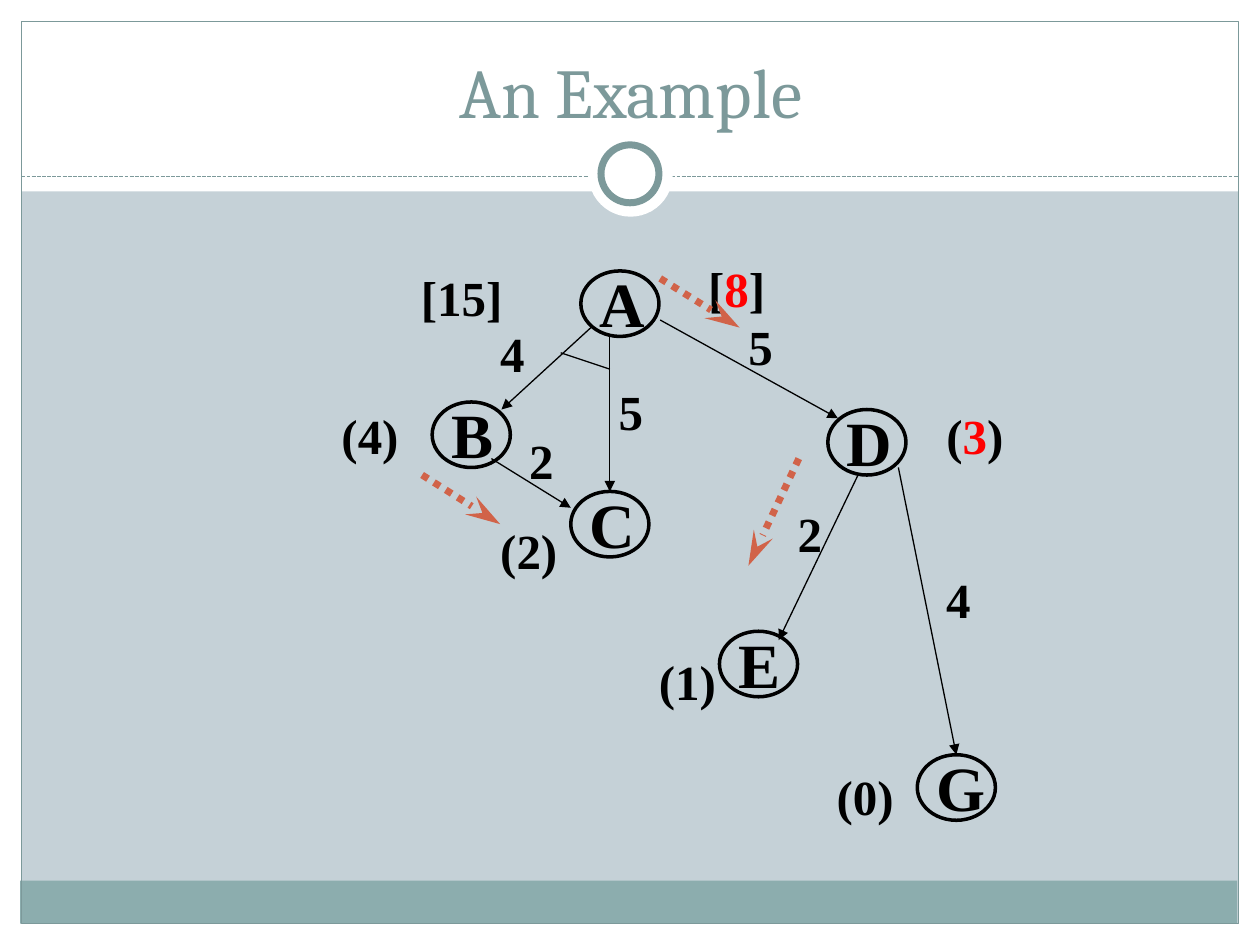
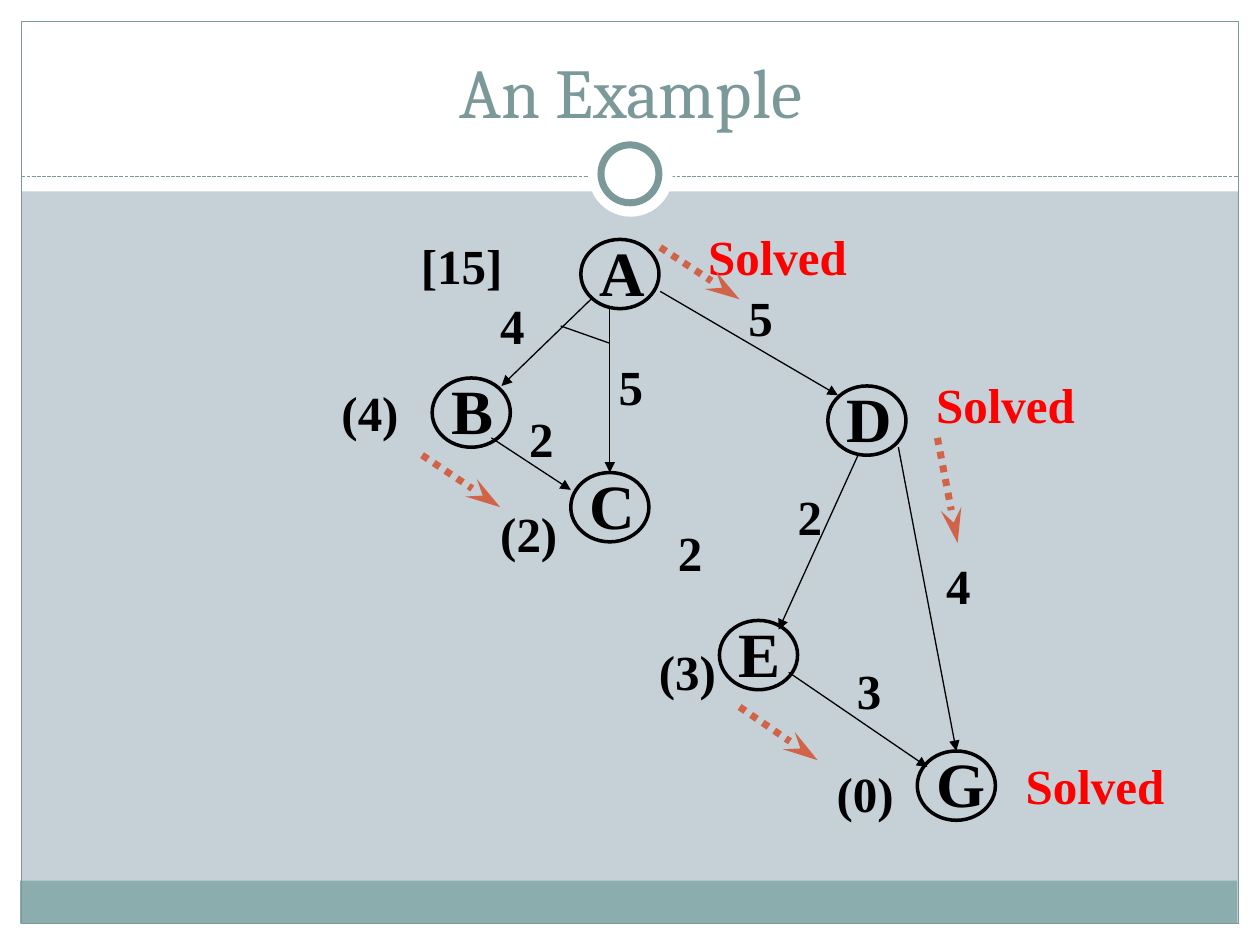
from dataclasses import dataclass

from lxml import etree
from pptx import Presentation
from pptx.dml.color import RGBColor
from pptx.enum.dml import MSO_LINE
from pptx.enum.shapes import MSO_CONNECTOR, MSO_SHAPE
from pptx.enum.text import MSO_ANCHOR, MSO_AUTO_SIZE, PP_ALIGN
from pptx.oxml.ns import qn
from pptx.util import Inches, Pt

RECT, OVAL = MSO_SHAPE.RECTANGLE, MSO_SHAPE.OVAL
STRAIGHT = MSO_CONNECTOR.STRAIGHT
DASH, DOT = MSO_LINE.SQUARE_DOT, MSO_LINE.ROUND_DOT
TOP_SIDE = 0


@dataclass(frozen=True)
class Theme:
    paper: str = "FFFFFF"
    backdrop: str = "C5D1D7"
    band: str = "8CADAE"
    trim: str = "7C999A"
    ink: str = "000000"
    alert: str = "FF0000"
    marker: str = "D16349"
    title_font: str = "Cambria"
    graph_font: str = "Times New Roman"
    title_size: int = 40
    node_size: int = 36
    label_size: int = 28
    thin: float = 0.75
    outline: float = 2
    thick: float = 4


# Graph positions are laid out for a graph from BASE_TOP to BOTTOM and
# stretched vertically when a slide starts its graph higher.
BASE_TOP, BOTTOM = 2.15, 6.51
NODE_W, NODE_H, LETTER_H, LABEL_H = 0.62, 0.52, 0.48, 0.39
LABEL_WIDTHS = {1: 0.34, 3: 0.62, 4: 0.82, 6: 1.28}  # by number of characters

# letter: left, top, letter box width
NODES = {
    "A": (4.61, 2.15, 0.5),
    "B": (3.43, 3.19, 0.47),
    "C": (4.53, 3.9, 0.5),
    "D": (6.57, 3.25, 0.5),
    "E": (5.71, 5.01, 0.47),
    "G": (7.28, 5.99, 0.53),
}
# start, end, node whose top the arrow meets
EDGES = [
    ((4.69, 2.6), (3.98, 3.25), None),
    ((4.84, 2.67), (4.84, 3.9), "C"),
    ((3.9, 3.64), (4.53, 4.03), None),
    ((5.24, 2.54), (6.65, 3.32), None),
    ((6.81, 3.77), (6.18, 5.08), None),
    ((7.13, 3.71), (7.6, 5.99), "G"),
]
AND_ARC = (4.45, 2.8), (4.84, 2.93)
# text, left, top, part in the alert colour
LABELS = [
    ("[15]", 3.27, 2.15, ""),
    ("(4)", 2.64, 3.25, ""),
    ("(2)", 3.9, 4.16, ""),
    ("(0)", 6.57, 6.11, ""),
    ("4", 3.9, 2.6, ""),
    ("5", 5.87, 2.54, ""),
    ("5", 4.84, 3.06, ""),
    ("2", 4.13, 3.45, ""),
    ("2", 6.26, 4.03, ""),
    ("4", 7.44, 4.55, ""),
]
MARKERS = [
    ((5.24, 2.21), (5.87, 2.6)),
    ((3.35, 3.77), (3.97, 4.16)),
]
STEPS = [
    {
        "top": 2.15,
        "edges": [],
        "labels": [
            ("[8]", 5.55, 2.08, "8"),
            ("(3)", 7.44, 3.25, "3"),
            ("(1)", 5.16, 5.2, ""),
        ],
        "markers": [((6.34, 3.64), (5.94, 4.49))],
    },
    {
        "top": 1.9,
        "edges": [((6.26, 5.4), (7.36, 6.11), None)],
        "labels": [
            ("Solved", 5.55, 2.08, "Solved"),
            ("Solved", 7.36, 3.19, "Solved"),
            ("Solved", 8.07, 6.05, "Solved"),
            ("(3)", 5.16, 5.2, ""),
            ("2", 5.31, 4.3, ""),
            ("3", 6.73, 5.34, ""),
        ],
        "markers": [
            ((7.44, 3.64), (7.6, 4.43)),
            ((5.87, 5.66), (6.49, 6.06)),
        ],
    },
]


def rgb(color):
    return RGBColor.from_string(color)


class Deck:
    def __init__(self, prs, theme):
        self.prs, self.theme = prs, theme
        self.slide = None
        self.top, self.stretch = BASE_TOP, 1

    def new_slide(self, title, graph_top):
        self.slide = self.prs.slides.add_slide(self.prs.slide_layouts[6])
        self.top = graph_top
        self.stretch = (BOTTOM - graph_top) / (BOTTOM - BASE_TOP)
        fill = self.slide.background.fill
        fill.solid()
        fill.fore_color.rgb = rgb(self.theme.backdrop)
        self.frame()
        self.title(title)

    def frame(self):
        """White margins, bottom band, border and the ring on the dashed rule."""
        t = self.theme
        for box in ((0, 7.33, 10, 0.17), (0, 0, 10, 1.52),
                    (0, 0, 0.17, 7.5), (9.83, 0, 0.17, 7.5)):
            self.shape(RECT, box, fill=t.paper)
        self.shape(RECT, (0.16, 6.99, 9.66, 0.34), fill=t.band)
        self.shape(RECT, (0.17, 0.17, 9.66, 7.16), line=t.trim, width=t.thin)
        self.line((0.17, 1.4), (9.83, 1.4), t.trim, t.thin, dash=DASH)
        self.shape(OVAL, (4.67, 1.05, 0.67, 0.67), fill=t.paper)
        self.shape(OVAL, (4.77, 1.15, 0.46, 0.46), t.paper, t.trim, t.thick)

    def title(self, text):
        t = self.theme
        sp = self.slide.shapes.add_textbox(*map(Inches, (0.35, 0.28, 9.31, 0.82)))
        tf = sp.text_frame
        tf.word_wrap = True
        tf.vertical_anchor = MSO_ANCHOR.BOTTOM
        p = tf.paragraphs[0]
        p.text = text
        p.alignment = PP_ALIGN.CENTER
        self.font(p, t.title_font, t.title_size, t.trim)

    def font(self, p, name, size, color, bold=False):
        p.font.name, p.font.size, p.font.bold = name, Pt(size), bold
        p.font.color.rgb = rgb(color)

    def shape(self, kind, box, fill=None, line=None, width=0):
        sp = self.slide.shapes.add_shape(kind, *map(Inches, box))
        sp.shadow.inherit = False
        if fill:
            sp.fill.solid()
            sp.fill.fore_color.rgb = rgb(fill)
        else:
            sp.fill.background()
        if line:
            sp.line.color.rgb = rgb(line)
            sp.line.width = Pt(width)
        else:
            sp.line.fill.background()
        return sp

    def line(self, start, end, color, width, dash=None, head=None,
             head_length="med", target=None):
        cxn = self.slide.shapes.add_connector(STRAIGHT, *map(Inches, start + end))
        if target:
            cxn.end_connect(target, TOP_SIDE)
        cxn.line.color.rgb = rgb(color)
        cxn.line.width = Pt(width)
        if dash:
            cxn.line.dash_style = dash
        sp_pr = cxn._element.spPr
        if head:
            etree.SubElement(sp_pr.find(qn("a:ln")), qn("a:tailEnd"),
                             type=head, len=head_length)
        etree.SubElement(sp_pr, qn("a:effectLst"))

    def text(self, text, box, size, accent=""):
        t = self.theme
        sp = self.slide.shapes.add_textbox(*map(Inches, box))
        tf = sp.text_frame
        tf.word_wrap = False
        tf.auto_size = MSO_AUTO_SIZE.SHAPE_TO_FIT_TEXT
        tf.margin_left = tf.margin_right = Inches(0.07)
        tf.margin_top = tf.margin_bottom = Inches(0.03)
        p = tf.paragraphs[0]
        p.line_spacing = 0.88
        self.font(p, t.graph_font, size, t.ink, bold=True)
        parts = text.partition(accent) if accent else (text,)
        for part in filter(None, parts):
            r = p.add_run()
            r.text = part
            if part == accent:
                r.font.color.rgb = rgb(t.alert)

    def y(self, y):
        return self.top + (y - BASE_TOP) * self.stretch

    def point(self, point):
        return point[0], self.y(point[1])

    def node(self, letter, left, top, letter_w):
        t, y = self.theme, self.y(top)
        box = (left, y, NODE_W, NODE_H * self.stretch)
        sp = self.shape(OVAL, box, line=t.ink, width=t.outline)
        self.text(letter, (left + 0.08, y, letter_w, LETTER_H * self.stretch),
                  t.node_size)
        return sp

    def edge(self, start, end, target=None, head="triangle"):
        t = self.theme
        self.line(self.point(start), self.point(end), t.ink, t.thin,
                  head=head, target=target)

    def marker(self, start, end):
        """Dotted arrow along the path being followed."""
        t = self.theme
        self.line(self.point(start), self.point(end), t.marker, t.thick,
                  dash=DOT, head="stealth", head_length="lg")

    def label(self, text, left, top, accent):
        box = (left, self.y(top), LABEL_WIDTHS[len(text)], LABEL_H * self.stretch)
        self.text(text, box, self.theme.label_size, accent)


def main():
    prs = Presentation()
    prs.slide_width, prs.slide_height = Inches(10), Inches(7.5)
    deck = Deck(prs, Theme())
    for step in STEPS:
        deck.new_slide("An Example", step["top"])
        nodes = {name: deck.node(name, *place) for name, place in NODES.items()}
        for start, end, target in EDGES + step["edges"]:
            deck.edge(start, end, nodes.get(target))
        deck.edge(*AND_ARC, head=None)
        for label in LABELS + step["labels"]:
            deck.label(*label)
        for marker in MARKERS + step["markers"]:
            deck.marker(*marker)
    prs.save("out.pptx")


if __name__ == "__main__":
    main()
